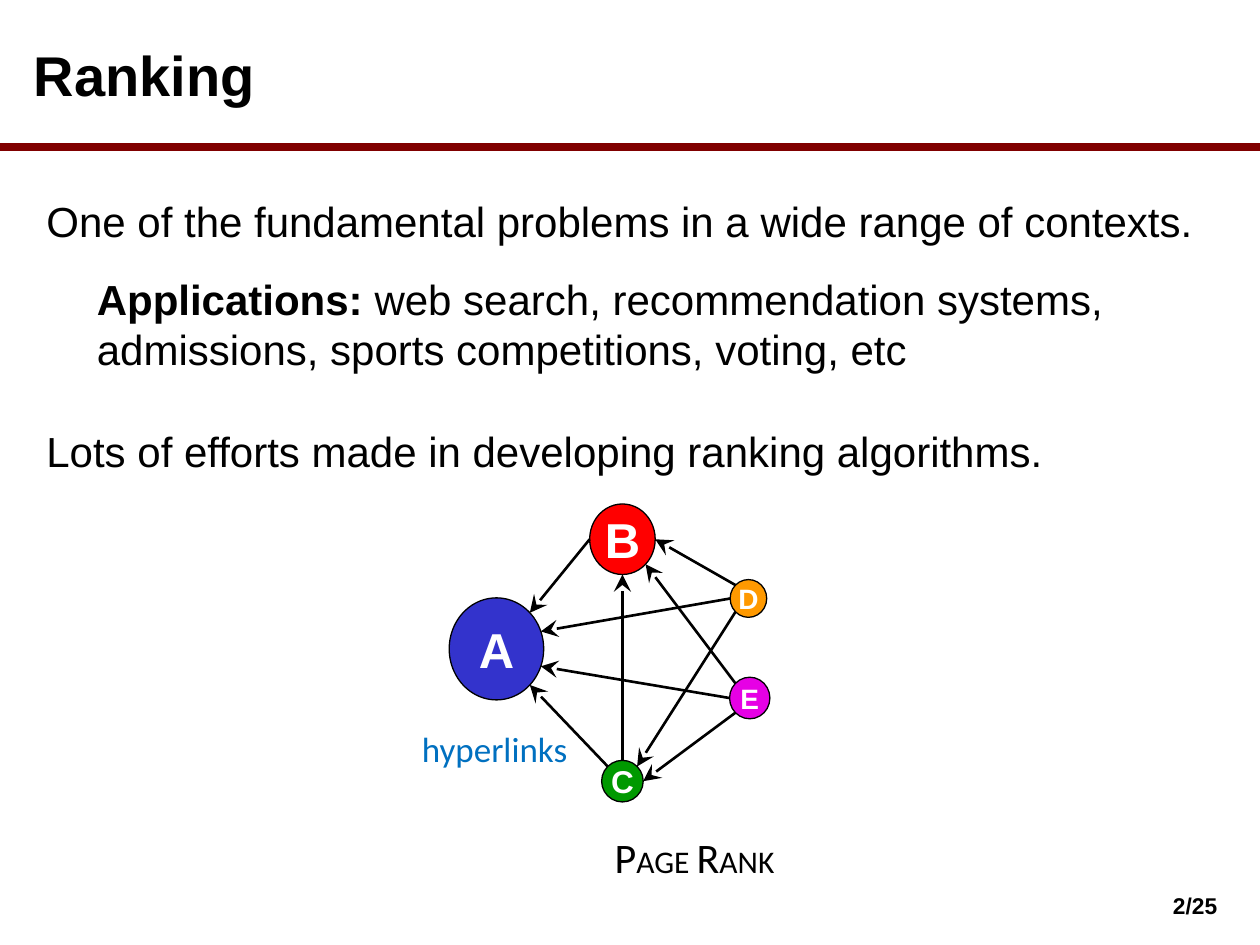
from math import cos, radians, sin
from pptx import Presentation
from pptx.dml.color import RGBColor
from pptx.enum.shapes import MSO_CONNECTOR as Connector, MSO_SHAPE as Shape
from pptx.enum.text import MSO_ANCHOR as Anchor, PP_ALIGN as Align
from pptx.oxml.ns import qn
from pptx.util import Inches, Pt
from lxml.etree import SubElement

THEME = {
    "ink": "000000", "paper": "FFFFFF", "rule": "800000", "link": "0070C0",
    "sans": "Arial", "label": "Calibri",
    "title": 32, "body": 24, "small_caps": 18, "hyperlinks": 20, "page": 13,
}
WIDTH, HEIGHT = 10, 7.5
RULE_Y = 1.17
BODY = THEME["body"]

TITLE = "Ranking"
PROBLEM = "One of the fundamental problems in a wide range of contexts."
APPLICATIONS = [
    ("Applications: ", {"bold": True}),
    ("web search, recommendation systems, admissions, sports competitions, voting, etc", {}),
]
EFFORTS = "Lots of efforts made in developing ranking algorithms."
ALGORITHM = [(part, {"size": size}) for part, size in (
    ("P", BODY), ("AGE ", THEME["small_caps"]),
    ("R", BODY), ("ANK", THEME["small_caps"]))]

# page: centre x, centre y, width, height, fill, type size
PAGES = {
    "A": (3.94, 5.15, 0.75, 0.81, "3333CC", 28),
    "B": (4.94, 4.28, 0.52, 0.56, "FF0000", 28),
    "C": (4.94, 6.2, 0.33, 0.33, "009900", 18),
    "D": (5.94, 4.75, 0.29, 0.3, "FF9900", 16),
    "E": (5.95, 5.54, 0.32, 0.33, "E600E5", 16),
}
# linking page, angle on its rim, linked page, angle on its rim
HYPERLINKS = [
    ("B", 180, "A", 45), ("C", 135, "A", -45),
    ("D", 180, "A", 20), ("E", 180, "A", -20),
    ("C", 90, "B", -90), ("D", 135, "B", 0), ("E", 135, "B", -45),
    ("D", -135, "C", 45), ("E", -135, "C", 0),
]


def color(name):
    return RGBColor.from_string(THEME.get(name, name))


def write(frame, text, size=BODY, font="sans", ink="ink", bold=False,
          align=Align.LEFT, anchor=Anchor.TOP, insets=(0.1, 0.05), wrap=True):
    """Fill a frame with a string, or with (text, overrides) runs."""
    frame.word_wrap = wrap
    frame.vertical_anchor = anchor
    frame.margin_left = frame.margin_right = Inches(insets[0])
    frame.margin_top = frame.margin_bottom = Inches(insets[1])
    paragraph = frame.paragraphs[0]
    paragraph.alignment = align
    for part, changes in [(text, {})] if isinstance(text, str) else text:
        run = paragraph.add_run()
        run.text = part
        run.font.name = THEME[font]
        run.font.size = Pt(changes.get("size", size))
        run.font.bold = changes.get("bold", bold)
        run.font.color.rgb = color(ink)


def add_text(slide, box, text, **style):
    write(slide.shapes.add_textbox(*map(Inches, box)).text_frame, text, **style)


def add_line(slide, start, end, ink, weight, arrow=False):
    line = slide.shapes.add_connector(
        Connector.STRAIGHT, *map(Inches, (*start, *end)))
    line.line.color.rgb = color(ink)
    line.line.width = Pt(weight)
    if arrow:
        SubElement(line.line._get_or_add_ln(), qn("a:tailEnd"),
                   type="stealth", w="lg", len="lg")
    SubElement(line._element.spPr, qn("a:effectLst"))


def add_page(slide, name):
    x, y, w, h, fill, size = PAGES[name]
    page = slide.shapes.add_shape(
        Shape.OVAL, *map(Inches, (x - w / 2, y - h / 2, w, h)))
    page.shadow.inherit = False
    page.fill.solid()
    page.fill.fore_color.rgb = color(fill)
    page.line.color.rgb = color("ink")
    page.line.width = Pt(0.75)
    write(page.text_frame, name, size=size, ink="paper", bold=True,
          align=Align.CENTER, anchor=Anchor.MIDDLE, insets=(0, 0), wrap=False)


def rim(name, angle):
    """Point on a page's outline, angle counted anticlockwise from the right."""
    x, y, w, h = PAGES[name][:4]
    return x + w / 2 * cos(radians(angle)), y - h / 2 * sin(radians(angle))


def main():
    deck = Presentation()
    deck.slide_width, deck.slide_height = Inches(WIDTH), Inches(HEIGHT)
    slide = deck.slides.add_slide(deck.slide_layouts[6])

    add_line(slide, (0, RULE_Y), (WIDTH, RULE_Y), "rule", 4.5)
    add_text(slide, (0.17, 0.17, 9.56, 0.83), TITLE, size=THEME["title"],
             bold=True, anchor=Anchor.MIDDLE)

    lowered = {"insets": (0.1, 0.08)}
    add_text(slide, (0.27, 1.47, 9.41, 0.54), PROBLEM, **lowered)
    add_text(slide, (0.67, 2.09, 9.69 - 0.4, 0.96), APPLICATIONS, **lowered)
    add_text(slide, (0.27, 3.3, 9.41, 0.51), EFFORTS, **lowered)

    for name in PAGES:
        add_page(slide, name)
    for source, leaving, target, arriving in HYPERLINKS:
        add_line(slide, rim(source, leaving), rim(target, arriving),
                 "ink", 1.5, arrow=True)

    add_text(slide, (4.78, 6.52, 1.97, 0.42), ALGORITHM, font="label", **lowered)
    add_text(slide, (3.25, 5.69, 1.84, 0.42), "hyperlinks", font="label",
             size=THEME["hyperlinks"], ink="link", **lowered)
    add_text(slide, (7.42, 7.03, 2.33, 0.27), "2/25", size=THEME["page"],
             bold=True, align=Align.RIGHT, insets=(0.09, 0.05))
    deck.save("out.pptx")


if __name__ == "__main__":
    main()
